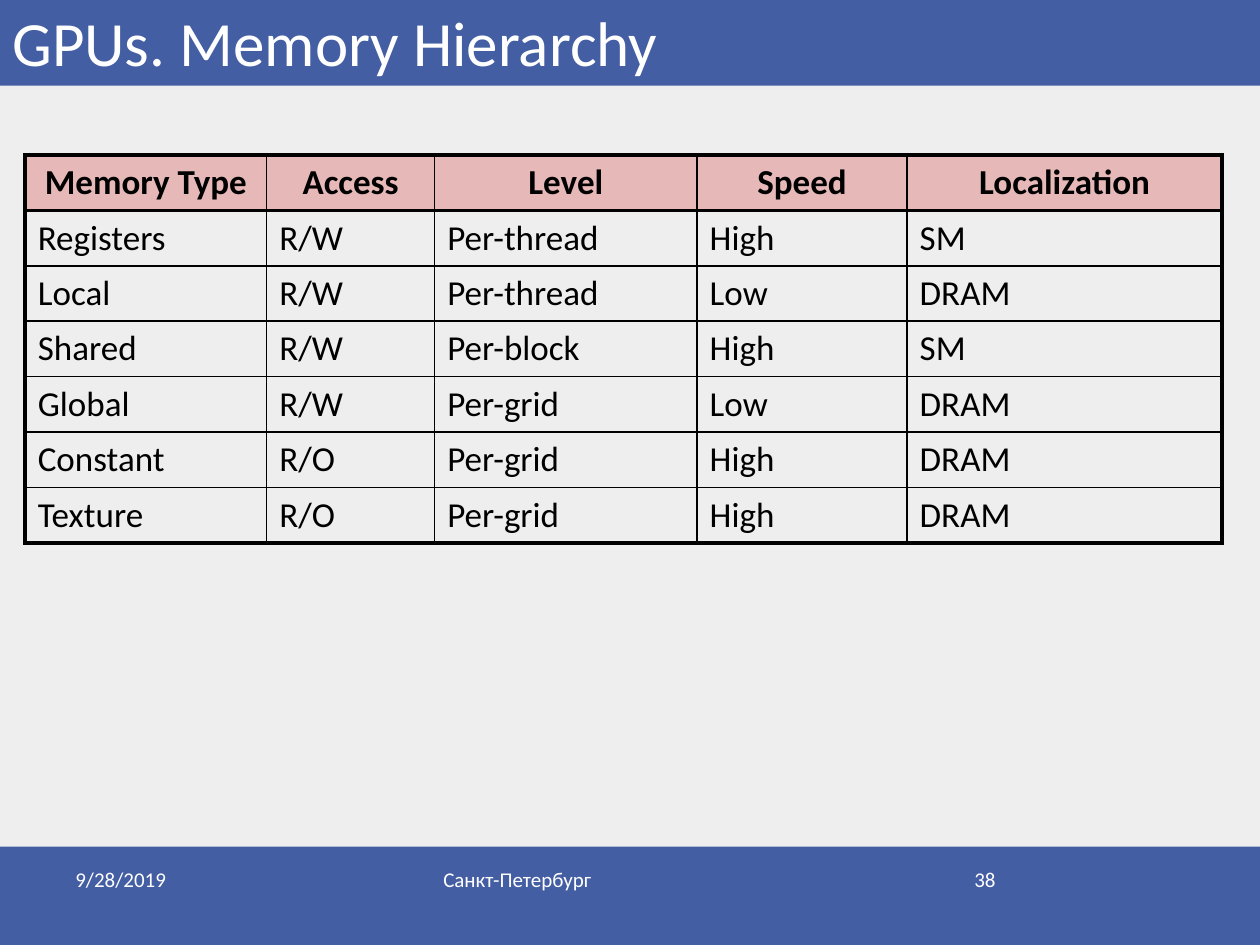
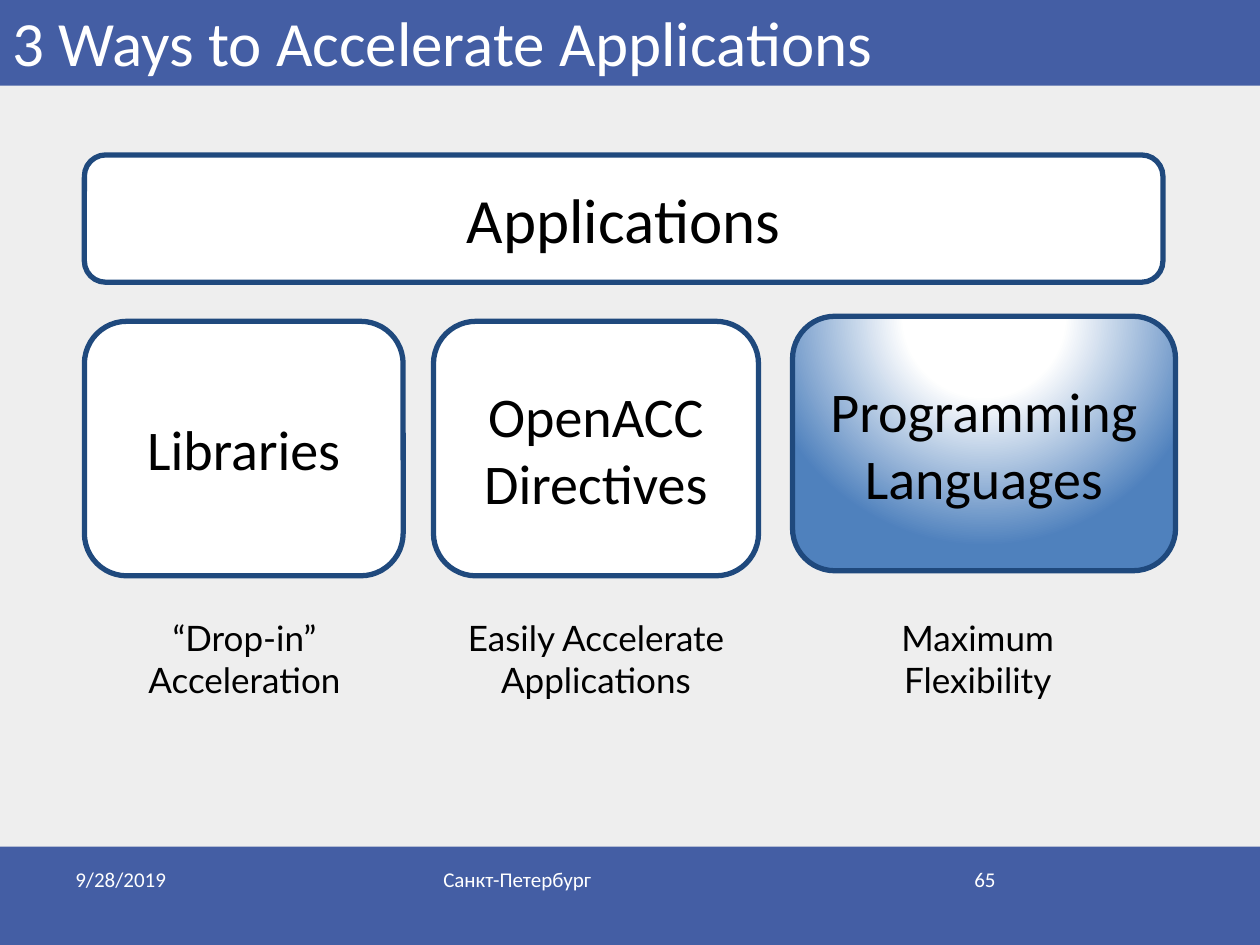
from lxml.etree import SubElement
from pptx import Presentation
from pptx.dml.color import RGBColor
from pptx.enum.shapes import MSO_SHAPE
from pptx.enum.text import MSO_ANCHOR, PP_ALIGN
from pptx.oxml import parse_xml
from pptx.oxml.ns import nsdecls, qn
from pptx.util import Inches, Pt

COLORS = {
    "background": "EEEEEE",
    "band": "445EA4",
    "white": "FFFFFF",
    "black": "000000",
    "outline": "1F497D",
    "glow": "4F81BD",
    "header": "E6B9B8",
}
HEADING_FONT = "Calibri"
CAPTION_FONT = "Lato"

presentation = Presentation()
presentation.slide_width = Inches(10)
presentation.slide_height = Inches(7.5)
COLUMN = presentation.slide_width // 100
ROW = presentation.slide_height // 75


def add_box(slide, place, preset=None, fill=None, line=None):
    """Add a preset shape, or a text box without one, placed in columns and rows."""
    left, top, width, height = place
    corners = [round(value) for value in
               (left * COLUMN, top * ROW, width * COLUMN, height * ROW)]
    if preset is None:
        shape = slide.shapes.add_textbox(*corners)
    else:
        shape = slide.shapes.add_shape(preset, *corners)
        shape.shadow.inherit = False
        shape.fill.solid()
        shape.fill.fore_color.rgb = RGBColor.from_string(COLORS[fill])
        if line:
            shape.line.color.rgb = RGBColor.from_string(COLORS[line])
            shape.line.width = Pt(3)
        else:
            shape.line.fill.background()
    return shape


def write(text_frame, text, size, color="black", font=HEADING_FONT,
          align=PP_ALIGN.LEFT, anchor=MSO_ANCHOR.TOP, bold=False):
    text_frame.text = text
    text_frame.word_wrap = True
    text_frame.vertical_anchor = anchor
    for paragraph in text_frame.paragraphs:
        paragraph.alignment = align
        for run in paragraph.runs:
            run.font.size = Pt(size)
            run.font.name = font
            run.font.bold = bold
            run.font.color.rgb = RGBColor.from_string(COLORS[color])


# Shared frame: background, bands, title and footer
slides = []
for title, number in (("GPUs. Memory Hierarchy", "38"),
                      ("3 Ways to Accelerate Applications", "65")):
    slide = presentation.slides.add_slide(presentation.slide_layouts[6])
    slide.background.fill.solid()
    slide.background.fill.fore_color.rgb = RGBColor.from_string(COLORS["background"])
    for top, height in ((67.2, 7.8), (0, 6.8)):
        add_box(slide, (0, top, 100, height), MSO_SHAPE.RECTANGLE, "band")
    title_box = add_box(slide, (0, -2.1, 100, 8.9))
    write(title_box.text_frame, title, 36, "white", anchor=MSO_ANCHOR.BOTTOM)
    for text, left, width, align in (
        ("9/28/2019", 5, 23.3, PP_ALIGN.LEFT),
        (number, 71.7, 8.3, PP_ALIGN.RIGHT),
        ("Санкт-Петербург", 34.2, 31.7, PP_ALIGN.LEFT),
    ):
        footer = add_box(slide, (left, 68.3, width, 5.2))
        write(footer.text_frame, text, 12, "white", align=align)
    slides.append(slide)
memory_slide, ways_slide = slides

# Memory hierarchy table
memory_rows = [
    ("Memory Type", "Access", "Level", "Speed", "Localization"),
    ("Registers", "R/W", "Per-thread", "High", "SM"),
    ("Local", "R/W", "Per-thread", "Low", "DRAM"),
    ("Shared", "R/W", "Per-block", "High", "SM"),
    ("Global", "R/W", "Per-grid", "Low", "DRAM"),
    ("Constant", "R/O", "Per-grid", "High", "DRAM"),
    ("Texture", "R/O", "Per-grid", "High", "DRAM"),
]
column_shares = (23, 16, 25, 20, 30)
row_height = round(4.4 * ROW)
last_row, last_column = len(memory_rows) - 1, len(column_shares) - 1
table = memory_slide.shapes.add_table(
    len(memory_rows), len(column_shares), 2 * COLUMN, round(12.3 * ROW),
    95 * COLUMN, row_height * len(memory_rows)).table
table.horz_banding = False
for column, share in zip(table.columns, column_shares):
    column.width = 95 * COLUMN * share // sum(column_shares)

for row_index, texts in enumerate(memory_rows):
    table.rows[row_index].height = row_height
    is_header = row_index == 0
    for column_index, text in enumerate(texts):
        cell = table.cell(row_index, column_index)
        write(cell.text_frame, text, 20, bold=is_header,
              align=PP_ALIGN.CENTER if is_header else PP_ALIGN.LEFT)
        thick_sides = {
            "lnL": column_index == 0,
            "lnR": column_index == last_column,
            "lnT": row_index <= 1,
            "lnB": row_index in (0, last_row),
        }
        properties = cell._tc.get_or_add_tcPr()
        for side, is_thick in thick_sides.items():
            border = SubElement(properties, qn(f"a:{side}"),
                                w=str(Pt(2.25 if is_thick else 1)))
            border_fill = SubElement(border, qn("a:solidFill"))
            SubElement(border_fill, qn("a:srgbClr"), val=COLORS["black"])
        if is_header:
            cell.fill.solid()
            cell.fill.fore_color.rgb = RGBColor.from_string(COLORS["header"])
        else:
            cell.fill.background()

# Applications and the three ways to accelerate them
ways = {}
for text, place, size in (
    ("Applications", (6.7, 12.3, 85.6, 10.1), 36),
    ("Libraries", (6.7, 25.5, 25.3, 20.2), 32),
    ("OpenACC Directives", (34.4, 25.5, 25.8, 20.2), 32),
    ("Programming Languages", (62.9, 25.1, 30.4, 20.2), 32),
):
    ways[text] = add_box(ways_slide, place, MSO_SHAPE.ROUNDED_RECTANGLE, "white", "outline")
    write(ways[text].text_frame, text, size,
          align=PP_ALIGN.CENTER, anchor=MSO_ANCHOR.MIDDLE)

glow_properties = ways["Programming Languages"]._element.spPr
stops = "".join(
    f'<a:gs pos="{position * 1000}"><a:srgbClr val="{COLORS[color]}"/></a:gs>'
    for position, color in ((0, "white"), (35, "white"), (100, "glow")))
glow_properties.replace(glow_properties.find(qn("a:solidFill")), parse_xml(
    f'<a:gradFill {nsdecls("a")}><a:gsLst>{stops}</a:gsLst><a:path path="circle">'
    '<a:fillToRect l="50000" t="-80000" r="50000" b="180000"/></a:path></a:gradFill>'))

for text, left, width in (
    ("“Drop-in” Acceleration", 8.9, 21),
    ("Easily Accelerate Applications", 31.9, 30.8),
    ("Maximum\vFlexibility", 62.9, 29.4),
):
    caption = add_box(ways_slide, (left, 48.4, width, 7.7))
    write(caption.text_frame, text, 20, font=CAPTION_FONT, align=PP_ALIGN.CENTER)

presentation.save("out.pptx")
